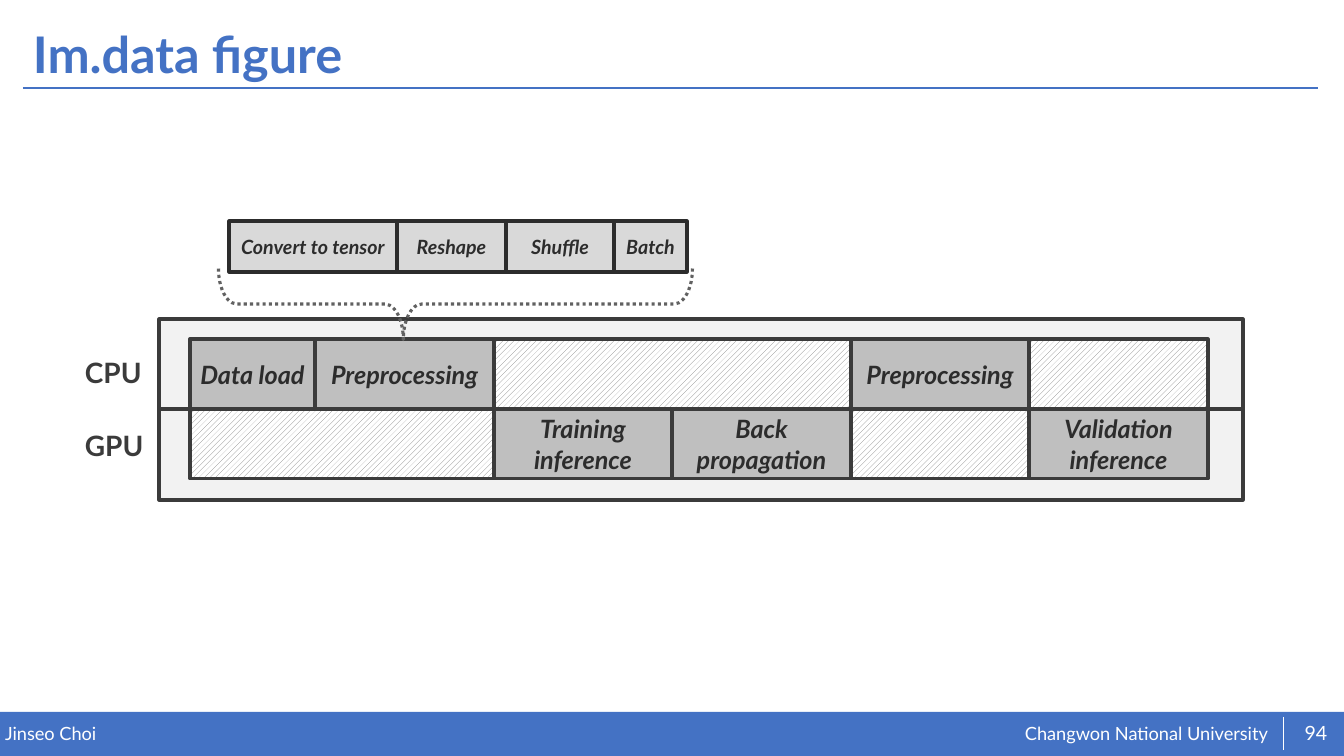
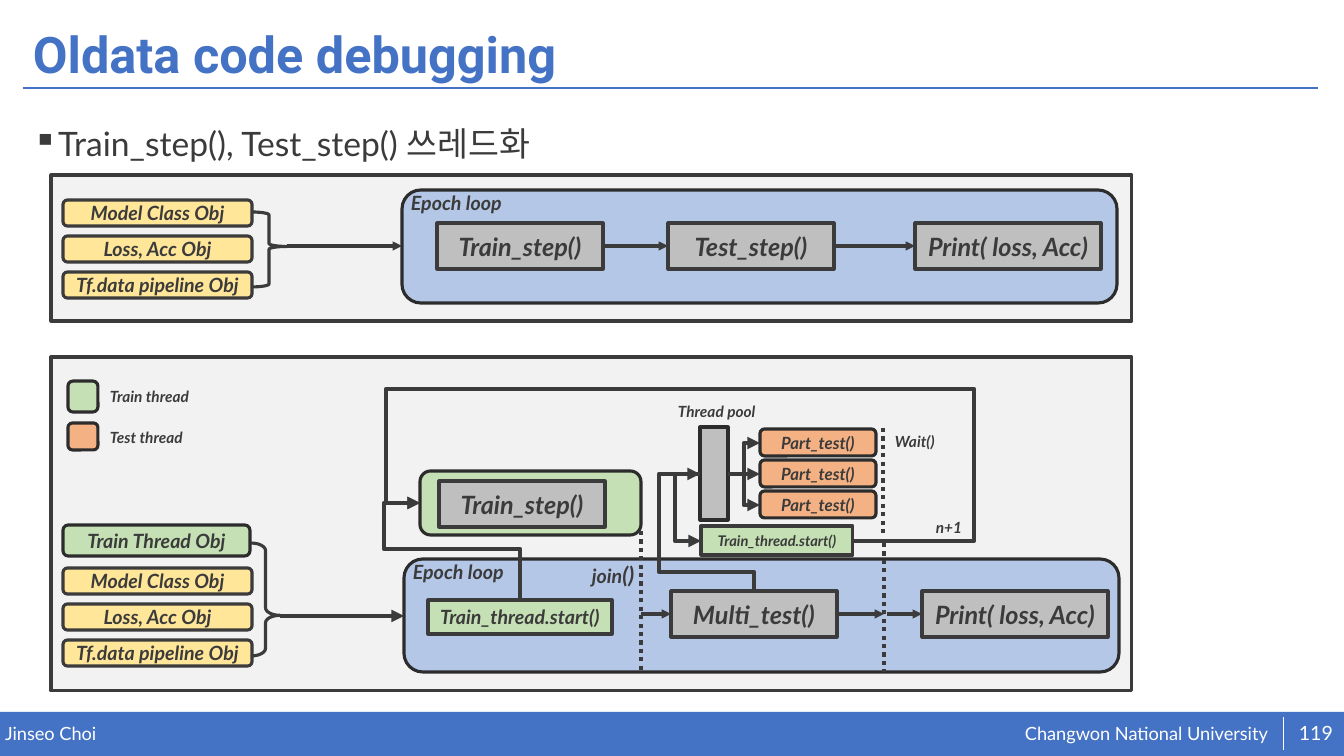
"""Build two lecture slides: a CPU/GPU timeline and a threading diagram."""
from dataclasses import dataclass
from itertools import accumulate, pairwise
from typing import NamedTuple

from lxml.etree import SubElement
from pptx import Presentation
from pptx.dml.color import RGBColor
from pptx.enum.dml import MSO_LINE, MSO_PATTERN
from pptx.enum.shapes import MSO_CONNECTOR, MSO_SHAPE
from pptx.enum.text import MSO_ANCHOR, PP_ALIGN
from pptx.oxml.ns import qn
from pptx.util import Emu, Pt

SCALE = 12192000 / 1344
RECT, ROUND = MSO_SHAPE.RECTANGLE, MSO_SHAPE.ROUNDED_RECTANGLE


class Skin(NamedTuple):
    """Fill, outline and text colour of a kind of box."""
    fill: str | None
    edge: str | None
    text: str


@dataclass(frozen=True)
class Theme:
    """Colours, fonts, type sizes and line widths of the deck."""
    font: str = "Lato"
    alt_font: str = "Roboto"
    blue: str = "4472C4"
    white: str = "FFFFFF"
    ink: str = "3B3B3B"
    dark: str = "2C2C2C"
    brace: str = "616161"
    hatch: str = "808080"
    band: Skin = Skin("4472C4", None, "FFFFFF")
    panel: Skin = Skin("F2F2F2", "3B3B3B", "3B3B3B")
    task: Skin = Skin("BFBFBF", "3B3B3B", "2C2C2C")
    detail: Skin = Skin("D9D9D9", "2C2C2C", "2C2C2C")
    idle: Skin = Skin(None, "3B3B3B", "2C2C2C")
    step: Skin = Skin("BFBFBF", "3B3B3B", "3B3B3B")
    pool: Skin = Skin("BFBFBF", "2C2C2C", "3B3B3B")
    loop: Skin = Skin("B4C7E7", "2C2C2C", "3B3B3B")
    data: Skin = Skin("FFE699", "3B3B3B", "3B3B3B")
    train: Skin = Skin("C5E0B4", "2C2C2C", "3B3B3B")
    start: Skin = Skin("C5E0B4", "3B3B3B", "3B3B3B")
    test: Skin = Skin("F4B183", "2C2C2C", "3B3B3B")
    title_size: float = 36
    body_size: float = 24
    lane_size: float = 20
    box_size: float = 18
    join_size: float = 16
    item_size: float = 14
    footer_size: float = 13
    part_size: float = 12
    note_size: float = 11
    small_size: float = 10.5
    thin: float = 0.5
    rule: float = 2
    outline: float = 2.25
    thick: float = 3


THEME = Theme()


def px(length):
    """Turn px into EMU."""
    return Emu(round(length * SCALE))


def rgb(colour):
    """Turn a hex colour into an RGBColor."""
    return RGBColor.from_string(colour)


def style_span(span, size, colour, bold=False, italic=False, font=THEME.font):
    """Format one run."""
    span.font.name, span.font.size = font, Pt(size)
    span.font.bold, span.font.italic = bold, italic
    span.font.color.rgb = rgb(colour)


def write(box, text, size, colour, align=PP_ALIGN.LEFT, anchor=MSO_ANCHOR.TOP, **look):
    """Put formatted text into a shape."""
    frame = box.text_frame
    frame.text = text
    frame.word_wrap = True
    frame.vertical_anchor = anchor
    for para in frame.paragraphs:
        para.alignment = align
        for span in para.runs:
            style_span(span, size, colour, **look)


def add_text(page, area, text, size, colour=THEME.ink, inset=True, **look):
    """Add a text box."""
    box = page.shapes.add_textbox(*map(px, area))
    write(box, text, size, colour, **look)
    if not inset:
        frame = box.text_frame
        frame.margin_left = frame.margin_right = frame.margin_top = frame.margin_bottom = 0
    return box


def add_note(page, left, top, text, size=THEME.note_size):
    """Add a small bold italic label."""
    return add_text(page, (left, top, 130, 30), text, size, bold=True, italic=True)


def stroke(line, colour, width, dotted=False):
    """Set the colour, width and dash of a line."""
    line.color.rgb = rgb(colour)
    line.width = Pt(width)
    if dotted:
        line.dash_style = MSO_LINE.ROUND_DOT


def add_arrowhead(shape):
    """Put a triangle at the end of a line."""
    SubElement(shape.element.spPr.find(qn("a:ln")), qn("a:tailEnd"), type="triangle")


def add_box(page, area, skin, text="", size=THEME.box_size, kind=RECT):
    """Add a filled shape with centred bold italic text."""
    box = page.shapes.add_shape(kind, *map(px, area))
    box.shadow.inherit = False
    if skin.fill:
        box.fill.solid()
        box.fill.fore_color.rgb = rgb(skin.fill)
    if skin.edge:
        stroke(box.line, skin.edge, THEME.outline)
    else:
        box.line.fill.background()
    if text:
        write(box, text, size, skin.text, PP_ALIGN.CENTER, MSO_ANCHOR.MIDDLE,
              bold=True, italic=True)
    return box


def add_idle(page, area):
    """Add a hatched box for idle time."""
    fill = add_box(page, area, THEME.idle).fill
    fill.patterned()
    fill.pattern = MSO_PATTERN.WIDE_UPWARD_DIAGONAL
    fill.fore_color.rgb, fill.back_color.rgb = rgb(THEME.hatch), rgb(THEME.white)


def add_brace(page, kind, area, bends, colour=THEME.ink, dotted=False):
    """Add an unfilled brace."""
    brace = page.shapes.add_shape(kind, *map(px, area))
    brace.shadow.inherit = False
    brace.fill.background()
    stroke(brace.line, colour, THEME.outline, dotted)
    for index, bend in enumerate(bends):
        brace.adjustments[index] = bend
    return brace


def add_line(page, start, end, width=THEME.outline, colour=THEME.ink, arrow=False, dotted=False):
    """Add a connector, straight along an axis and otherwise an elbow."""
    straight = start[0] == end[0] or start[1] == end[1]
    kind = MSO_CONNECTOR.STRAIGHT if straight else MSO_CONNECTOR.ELBOW
    line = page.shapes.add_connector(kind, *map(px, (*start, *end)))
    stroke(line.line, colour, width, dotted)
    if arrow:
        add_arrowhead(line)
    SubElement(line.element.spPr, qn("a:effectLst"))


def add_route(page, start, *corners):
    """Add an arrow that turns at each corner."""
    builder = page.shapes.build_freeform(*start, scale=SCALE)
    builder.add_line_segments(corners, close=False)
    route = builder.convert_to_shape()
    route.shadow.inherit = False
    route.fill.background()
    stroke(route.line, THEME.ink, THEME.thick)
    add_arrowhead(route)


def add_page(deck, title, number, font=THEME.font):
    """Add a slide with its title, rule and footer."""
    page = deck.slides.add_slide(deck.slide_layouts[6])
    add_box(page, (0, 712, 1344, 44), THEME.band)
    for left, width, text in ((1025, 255, "Changwon National University"), (5, 660, "Jinseo Choi")):
        add_text(page, (left, 722, width, 23), text, THEME.footer_size, THEME.white, inset=False)
    add_line(page, (23, 88), (1318, 88), THEME.rule, THEME.blue)
    add_line(page, (1283, 717), (1283, 750), THEME.thin, THEME.white)
    add_text(page, (1292, 713, 48, 40), number, THEME.item_size, THEME.white, inset=False,
             align=PP_ALIGN.CENTER, anchor=MSO_ANCHOR.MIDDLE)
    heading = add_text(page, (23, 18, 1296, 78), title, THEME.title_size, THEME.blue,
                       anchor=MSO_ANCHOR.MIDDLE, bold=True, font=font)
    heading.text_frame.paragraphs[0].line_spacing = 0.9
    return page


def add_bullet(page, area, text):
    """Add a bulleted line."""
    para = add_text(page, area, text, THEME.body_size).text_frame.paragraphs[0]
    para.line_spacing = 1.4
    properties = para._p.get_or_add_pPr()
    properties.set("marL", str(px(25)))
    properties.set("indent", str(px(-25)))
    SubElement(properties, qn("a:buChar"), char="▪")


def add_epoch_loop(page, left, top):
    """Add the labelled frame of the epoch loop."""
    add_box(page, (left, top, 715, 113), THEME.loop, kind=ROUND)
    add_note(page, left - 1, top - 4, "Epoch loop", THEME.item_size)


def add_objects(page, top):
    """Add the stack of objects passed to the loop."""
    for row, text in enumerate(("Model Class Obj", "Loss, Acc Obj", "Tf.data pipeline Obj")):
        add_box(page, (63, top + 36 * row, 189, 26), THEME.data, text, THEME.item_size, ROUND)


def build_timeline(deck):
    """Build the CPU and GPU timeline slide."""
    page = add_page(deck, "Im.data figure", "94")
    add_box(page, (159, 319, 1084, 181), THEME.panel)
    add_line(page, (159, 409), (1243, 409))
    for top, text in ((351, "CPU"), (424, "GPU")):
        add_text(page, (75, top, 80, 44), text, THEME.lane_size, bold=True)

    details = ("Convert to tensor", "Reshape", "Shuffle", "Batch")
    for (left, right), text in zip(pairwise(accumulate((229, 168, 109, 108, 73))), details):
        add_box(page, (left, 221, right - left, 51), THEME.detail, text, THEME.item_size)

    edges = (190, 315, 494, 672, 851, 1029, 1208)
    cells = (
        (0, 0, 1, "Data load"), (0, 1, 2, "Preprocessing"), (0, 2, 4, ""),
        (0, 4, 5, "Preprocessing"), (0, 5, 6, ""),
        (1, 0, 2, ""), (1, 2, 3, "Training inference"), (1, 3, 4, "Back propagation"),
        (1, 4, 5, ""), (1, 5, 6, "Validation\ninference"),
    )
    for lane, first, last, text in cells:
        area = (edges[first], 339 + 70 * lane, edges[last] - edges[first], 70)
        if text:
            add_box(page, area, THEME.task, text)
        else:
            add_idle(page, area)
    brace = add_brace(page, MSO_SHAPE.LEFT_BRACE, (420, 67, 71, 474), (0.26, 0.39),
                      THEME.brace, dotted=True)
    brace.rotation = 270


def build_serial_loop(page):
    """Draw the epoch loop that runs its steps in turn."""
    add_box(page, (51, 175, 1081, 146), THEME.panel)
    add_epoch_loop(page, 402, 190)
    add_objects(page, 200)
    add_brace(page, MSO_SHAPE.RIGHT_BRACE, (251, 212, 36, 75), (0.08, 0.46))
    for left, width, text in ((437, 166, "Train_step()"), (668, 166, "Test_step()"),
                              (915, 186, "Print( loss, Acc)")):
        add_box(page, (left, 223, width, 46), THEME.step, text)
    for start, end in ((287, 402), (603, 668), (835, 915)):
        add_line(page, (start, 246), (end, 246), arrow=True)


def build_threaded_loop(page):
    """Draw the epoch loop that hands its steps to threads."""
    add_box(page, (51, 357, 1081, 334), THEME.panel)
    add_epoch_loop(page, 404, 559)
    add_objects(page, 568)
    add_box(page, (63, 525, 187, 31), THEME.train, "Train Thread Obj", THEME.item_size, ROUND)
    add_brace(page, MSO_SHAPE.RIGHT_BRACE, (251, 543, 29, 113), (0.26, 0.64))
    add_line(page, (280, 616), (404, 616), THEME.thick, arrow=True)

    add_box(page, (420, 471, 221, 64), THEME.train, kind=ROUND)
    for left, top, width, text in ((439, 481, 166, "Train_step()"), (671, 591, 166, "Multi_test()"),
                                   (922, 591, 186, "Print( loss, Acc)")):
        add_box(page, (left, top, width, 46), THEME.step, text)
    for start, end in ((641, 671), (837, 884), (887, 922)):
        add_line(page, (start, 614), (end, 614), arrow=True)

    add_box(page, (428, 600, 184, 34), THEME.start, "Train_thread.start()", THEME.item_size)
    add_box(page, (701, 526, 152, 29), THEME.start, "Train_thread.start()", THEME.small_size)
    add_box(page, (700, 427, 28, 93), THEME.pool)
    for row in range(3):
        top = 429 + 31 * row
        add_box(page, (760, top, 116, 27), THEME.test, "Part_test()", THEME.part_size, ROUND)
        add_line(page, (728, 474), (760, top + 14), THEME.thick, arrow=True)

    add_route(page, (520, 600), (520, 549), (384, 549), (384, 503), (420, 503))
    add_route(page, (754, 591), (754, 572), (659, 572), (659, 474), (700, 474))
    add_route(page, (700, 474), (675, 474), (675, 541), (701, 541))
    add_route(page, (853, 541), (974, 541), (974, 389), (386, 389), (386, 503), (420, 503))
    for left, top, bottom in ((641, 531, 671), (883, 428, 535), (884, 543, 672)):
        add_line(page, (left, top), (left, bottom), THEME.thick, dotted=True)

    for top, height, skin in ((381, 31, THEME.train), (423, 27, THEME.test)):
        add_box(page, (68, top, 30, height), skin, kind=ROUND)
    for left, top, text in ((100, 382, "Train thread"), (100, 423, "Test thread"),
                            (668, 397, "Thread pool"), (885, 427, "Wait()"), (926, 513, "n+1")):
        add_note(page, left, top, text)
    join = add_note(page, 582, 556, "join", THEME.item_size)
    span = join.text_frame.paragraphs[0].add_run()
    span.text = "()"
    style_span(span, THEME.join_size, THEME.ink, bold=True, italic=True)


def build_threads(deck):
    """Build the threading slide."""
    page = add_page(deck, "Oldata code debugging", "119", THEME.alt_font)
    add_bullet(page, (23, 102, 1296, 66), "Train_step(), Test_step() 쓰레드화")
    build_serial_loop(page)
    build_threaded_loop(page)


def main():
    """Build and save the deck."""
    deck = Presentation()
    deck.slide_width, deck.slide_height = px(1344), px(756)
    build_timeline(deck)
    build_threads(deck)
    deck.save("out.pptx")


if __name__ == "__main__":
    main()
